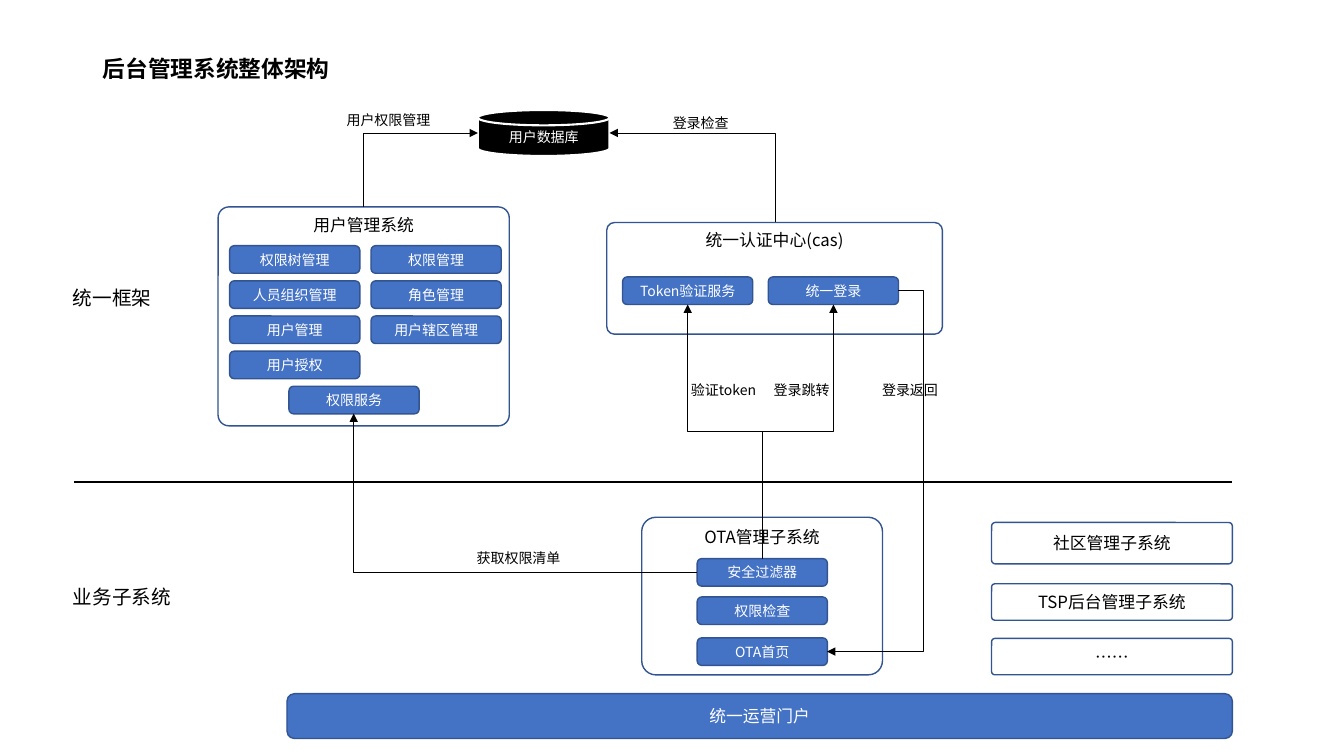
from lxml.etree import SubElement
from pptx import Presentation
from pptx.dml.color import RGBColor
from pptx.enum.shapes import MSO_CONNECTOR as Connector, MSO_SHAPE as Shape
from pptx.enum.text import MSO_ANCHOR as Anchor, PP_ALIGN as Align
from pptx.oxml.ns import qn
from pptx.util import Pt

BLACK = RGBColor(0x00, 0x00, 0x00)
WHITE = RGBColor(0xFF, 0xFF, 0xFF)
BLUE = RGBColor(0x44, 0x72, 0xC4)
NAVY = RGBColor(0x32, 0x54, 0x91)
FONT = "Noto Sans CJK SC"
NODE_WIDTH, NODE_HEIGHT = 93, 19.7


class ArchitectureSlide:
    """Draws the elements of one slide in a shared style; lengths are points."""

    def __init__(self, deck):
        """Add a title-only slide to the deck."""
        self.slide = deck.slides.add_slide(deck.slide_layouts[5])
        self.shapes = self.slide.shapes

    def set_text(self, shape, text, size, color, align=Align.LEFT,
                 anchor=Anchor.MIDDLE, bold=False):
        """Set the text of a shape and format it."""
        frame = shape.text_frame
        frame.text = text
        frame.word_wrap = True
        frame.vertical_anchor = anchor
        for para in frame.paragraphs:
            para.alignment = align
            for span in para.runs:
                font = span.font
                font.name, font.size, font.bold = FONT, Pt(size), bold
                font.color.rgb = color
                SubElement(font._element, qn("a:ea"), typeface=FONT)

    def title(self, text, left, top, width, height):
        """Place and format the title."""
        box = self.shapes.title
        box.left, box.top = Pt(left), Pt(top)
        box.width, box.height = Pt(width), Pt(height)
        self.set_text(box, text, 16.2, BLACK, bold=True)
        box.text_frame.paragraphs[0].line_spacing = 0.9

    def shape(self, text, left, top, width, height, size=12, fill=None,
              line=NAVY, weight=1, radius=None, color=BLACK,
              anchor=Anchor.MIDDLE, kind=Shape.ROUNDED_RECTANGLE):
        """Add an outlined shape with centred text."""
        box = self.shapes.add_shape(kind, Pt(left), Pt(top), Pt(width), Pt(height))
        box.shadow.inherit = False
        if fill is None:
            box.fill.background()
        else:
            box.fill.solid()
            box.fill.fore_color.rgb = fill
        box.line.color.rgb = line
        box.line.width = Pt(weight)
        if radius is not None:
            box.adjustments[0] = radius
        self.set_text(box, text, size, color, Align.CENTER, anchor)

    def node(self, text, left, top):
        """Add a small blue module box."""
        self.shape(text, left, top, NODE_WIDTH, NODE_HEIGHT, 10, BLUE, color=WHITE)

    def label(self, text, left, top, width, height=19.4, size=10):
        """Add a plain text label."""
        box = self.shapes.add_textbox(Pt(left), Pt(top), Pt(width), Pt(height))
        self.set_text(box, text, size, BLACK, anchor=Anchor.TOP)

    def line(self, start, end, weight, kind=Connector.STRAIGHT):
        """Add a black connector and return it."""
        link = self.shapes.add_connector(kind, *(Pt(v) for v in (*start, *end)))
        link.line.color.rgb = BLACK
        link.line.width = Pt(weight)
        SubElement(link._element.spPr, qn("a:effectLst"))
        return link

    def arrow(self, start, end, bends=1, upward=False, middle=0.5):
        """Add a bent arrow that leaves sideways, or upward if asked."""
        dx, dy = end[0] - start[0], end[1] - start[1]
        center_x, center_y = (start[0] + end[0]) / 2, (start[1] + end[1]) / 2
        width, height = (abs(dy), abs(dx)) if upward else (abs(dx), abs(dy))
        left, top = center_x - width / 2, center_y - height / 2
        link = self.line((left, top), (left + width, top + height), 0.5,
                         Connector.ELBOW)
        properties = link._element.spPr
        frame = properties.find(qn("a:xfrm"))
        if upward:
            frame.set("rot", str(270 * 60000))
        if not upward and dx < 0:
            frame.set("flipH", "1")
        if (dx if upward else dy) < 0:
            frame.set("flipV", "1")
        geometry = properties.find(qn("a:prstGeom"))
        geometry.set("prst", f"bentConnector{bends + 1}")
        if bends == 2:
            SubElement(geometry.find(qn("a:avLst")), qn("a:gd"), name="adj1",
                       fmla=f"val {round(middle * 100000)}")
        SubElement(properties.find(qn("a:ln")), qn("a:tailEnd"), type="triangle")


deck = Presentation()
deck.slide_width, deck.slide_height = Pt(960), Pt(540)
page = ArchitectureSlide(deck)
page.title("后台管理系统整体架构", 66.2, 28.8, 836, 42.5)

# System panels
for text, left, top, width, height, radius in (
        ("用户管理系统", 155.8, 147.8, 208, 156.4, 0.05),
        ("统一认证中心(cas)", 433.4, 158.9, 239.8, 79.8, 0.07),
        ("OTA管理子系统", 458.4, 369.5, 172, 112.6, 0.09)):
    page.shape(text, left, top, width, height, radius=radius, anchor=Anchor.TOP)

# Modules of the user management system
columns = (("权限树管理", "人员组织管理", "用户管理", "用户授权"),
           ("权限管理", "角色管理", "用户辖区管理"))
for column, names in enumerate(columns):
    for row, name in enumerate(names):
        page.node(name, 164 + 101 * column, 175.5 + 25.1 * row)
page.node("权限服务", 206.4, 275.9)

# Modules of the authentication centre and the OTA subsystem
for name, left in (("Token验证服务", 444.7), ("统一登录", 548.8)):
    page.node(name, left, 197.8)
for name, top in (("安全过滤器", 399), ("权限检查", 426.4), ("OTA首页", 455.6)):
    page.node(name, 498, top)

page.shape("用户数据库", 341.4, 78.6, 94, 32.8, 10, BLACK, WHITE, 1.5,
           color=WHITE, kind=Shape.FLOWCHART_MAGNETIC_DISK)

# Other subsystems and the portal
for name, top, height in (("社区管理子系统", 373.2, 29.6),
                          ("TSP后台管理子系统", 417, 26), ("……", 456, 26)):
    page.shape(name, 708.3, top, 172, height, radius=0.09)
page.shape("统一运营门户", 205, 495.5, 675.3, 32, fill=BLUE, color=WHITE)

# Calls between systems
filter_top = (544.5, 399)
page.arrow(filter_top, (595.3, 217.5), 2, upward=True)
page.arrow(filter_top, (491.2, 217.5), 2, upward=True)
page.arrow((498, 408.9), (252.7, 295.4))
page.arrow((641.8, 207.6), (590.7, 465.4), 2, middle=-0.35)
page.arrow((259.8, 147.8), (341.4, 95), upward=True)
page.arrow((553.5, 158.9), (435.4, 95), upward=True)
for text, left, top, width in (
        ("验证token", 486.5, 269.3, 62.6), ("登录跳转", 545.6, 269.3, 55),
        ("登录返回", 623, 269.3, 55), ("获取权限清单", 333.4, 389.2, 75.2),
        ("登录检查", 473.5, 78.2, 55), ("用户权限管理", 240.5, 76, 75.2)):
    page.label(text, left, top, width)

# Layers
page.line((53, 344.4), (880, 344.4), 1)
for text, top in (("统一框架", 201), ("业务子系统", 414.4)):
    page.label(text, 45, top, 110, 24.2, 14)

deck.save("out.pptx")
